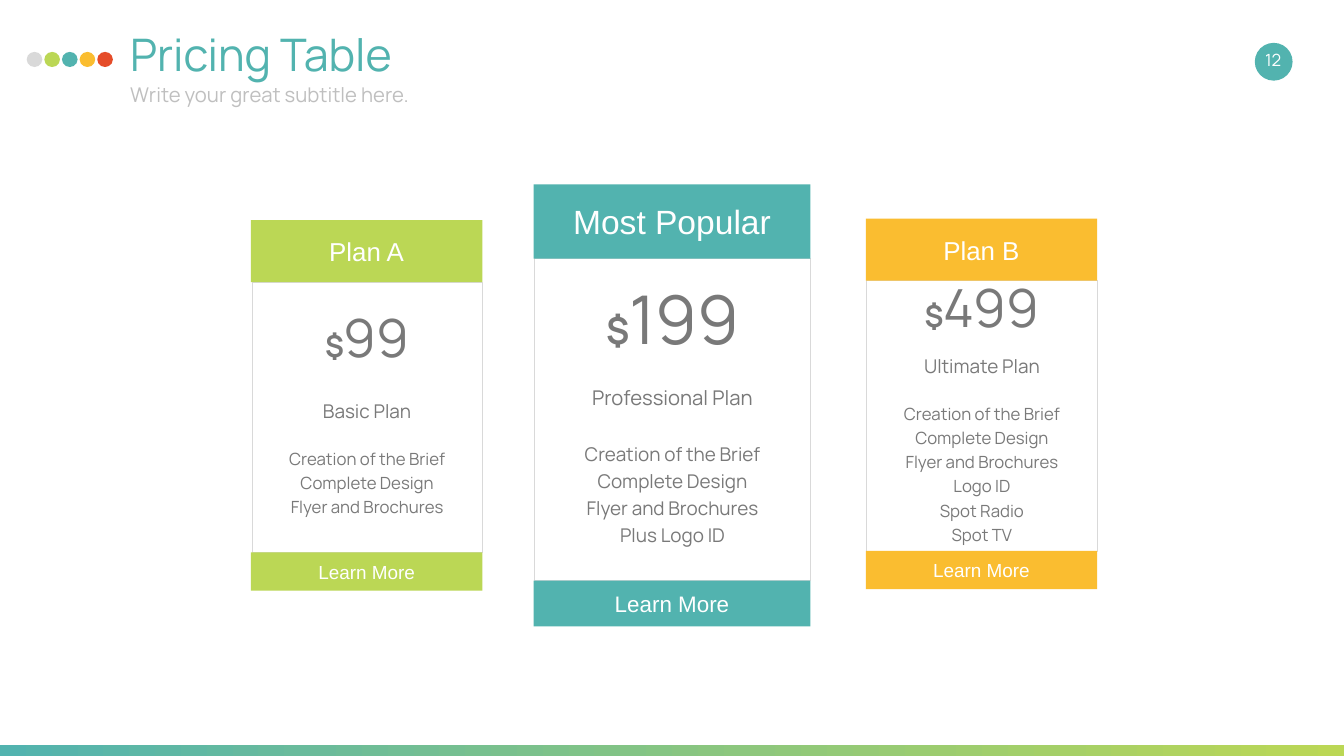
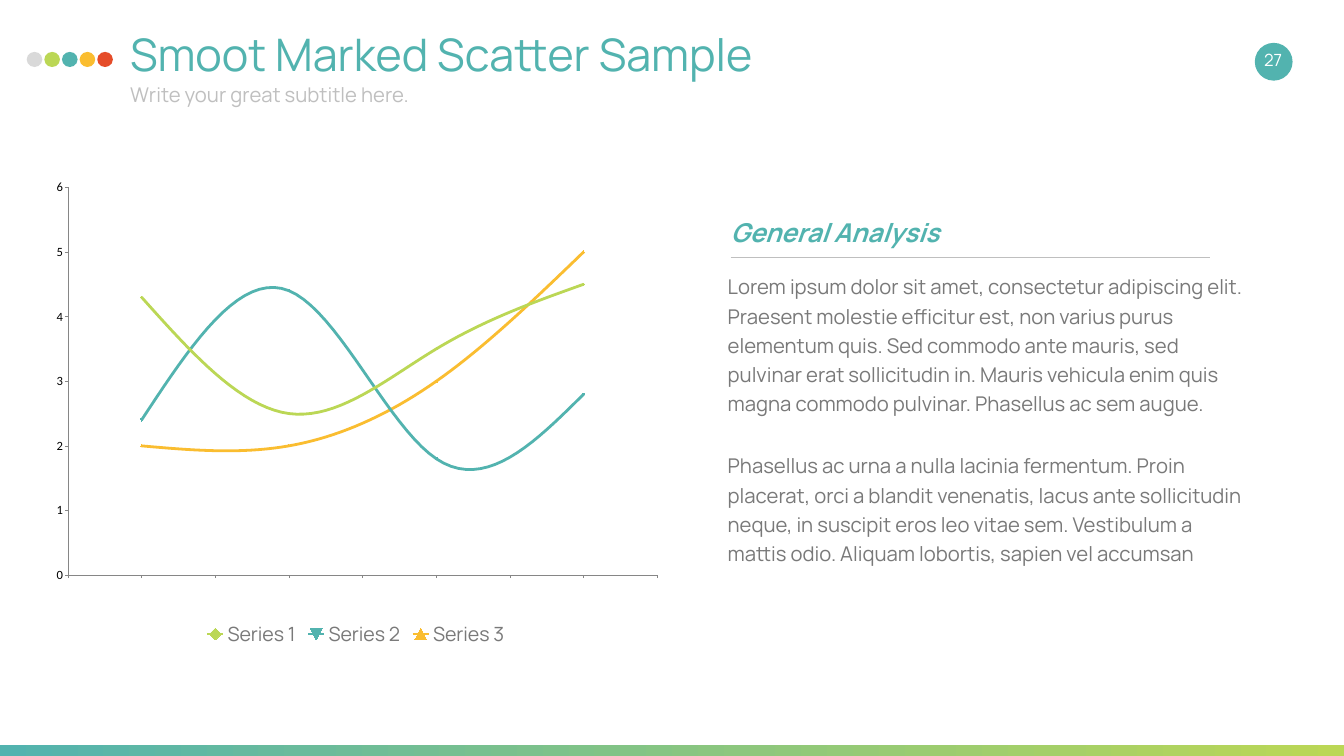
import pptx
import pptx.chart.data
import pptx.dml.color
import pptx.enum.chart
import pptx.enum.shapes
import pptx.enum.text
import pptx.oxml
import pptx.oxml.ns
import pptx.util

PX = 9144  # 100 px to the inch
TEAL, LIME, AMBER, RED = "52B3AF", "BBD755", "FABD30", "E54C29"
WHITE, PALE, SILVER, GREY, AXIS = "FFFFFF", "D9D9D9", "BFBFBF", "797979", "868686"
CENTER = pptx.enum.text.PP_ALIGN.CENTER
MIDDLE = pptx.enum.text.MSO_ANCHOR.MIDDLE
RECTANGLE = pptx.enum.shapes.MSO_SHAPE.RECTANGLE
OVAL = pptx.enum.shapes.MSO_SHAPE.OVAL
color = pptx.dml.color.RGBColor.from_string
pt = pptx.util.Pt


def add_block(page, kind, place, fill=None, line=None):
    """Add a preset shape, or a text box with wide margins when kind is None."""
    lengths = [length * PX for length in place]
    if kind is None:
        box = page.shapes.add_textbox(*lengths)
        margins = {"margin_left": 27, "margin_right": 27, "margin_top": 13, "margin_bottom": 13}
        for name, length in margins.items():
            setattr(box.text_frame, name, length * PX)
        return box
    box = page.shapes.add_shape(kind, *lengths)
    box.shadow.inherit = False
    if fill:
        box.fill.solid()
        box.fill.fore_color.rgb = color(fill)
    if line:
        box.line.color.rgb = color(line)
        box.line.width = pt(0.75)
    else:
        box.line.fill.background()
    return box


def write(box, paragraphs, ink, anchor=None, face="Manrope"):
    """Fill a box; each paragraph is (spans, layout) and each span (words, font values)."""
    frame = box.text_frame
    frame.word_wrap = True
    frame.vertical_anchor = anchor
    for index, (spans, layout) in enumerate(paragraphs):
        para = frame.add_paragraph() if index else frame.paragraphs[0]
        for name, value in layout.items():
            setattr(para, name, value)
        for words, values in spans:
            span = para.add_run()
            span.text = words
            span.font.color.rgb = color(ink)
            for name, value in ({"name": face} | values).items():
                setattr(span.font, name, value)


deck = pptx.Presentation()
deck.slide_width, deck.slide_height = 2667 * PX, 1500 * PX

# Shared frame: bottom band, number badge, dots and titles
pages = []
for title, number in [("Pricing Table", "12"), ("Smoot Marked Scatter Sample", "27")]:
    page = deck.slides.add_slide(deck.slide_layouts[6])
    pages.append(page)
    band = add_block(page, RECTANGLE, (0, 1479, 2667, 21))
    band.fill.gradient()
    band.fill.gradient_angle = 0
    for stop, shade in zip(band.fill.gradient_stops, [TEAL, LIME]):
        stop.color.rgb = color(shade)
    add_block(page, OVAL, (2490, 85, 75, 75), TEAL)
    for index, shade in enumerate([PALE, LIME, TEAL, AMBER, RED]):
        add_block(page, OVAL, (53 + 35 * index, 103, 31, 30), shade)
    write(add_block(page, None, (231, 41, 2125, 160)), [([(title, {"size": pt(64)})], {})], TEAL)
    subtitle = [([("Write your great subtitle here.", {"size": pt(29)})], {})]
    write(add_block(page, None, (231, 150, 2125, 85)), subtitle, SILVER)
    badge_text = [([(number, {"size": pt(24)})], {"alignment": CENTER})]
    write(add_block(page, None, (2468, 78, 117, 80)), badge_text, WHITE, MIDDLE)

pricing, analysis = pages

# Pricing cards
features = ["Creation of the Brief", "Complete Design", "Flyer and Brochures"]
popular = {"width": 549, "heights": (147, 639, 91), "button": 32,
           "head": 48, "sizes": (53, 96, 29, 27)}
regular = {"width": 459, "heights": (123, 536, 76), "button": 27,
           "head": 37, "sizes": (43, 75, 27, 24)}
cards = [
    (popular, 1059, 366, TEAL, "Most Popular", "199", "Professional Plan",
     features + ["Plus Logo ID"], (47, 40)),
    (regular, 498, 437, LIME, "Plan A", "99", "Basic Plan", features, (52, 32)),
    (regular, 1718, 434, AMBER, "Plan B", "499", "Ultimate Plan",
     features + ["Logo ID", "Spot Radio", "Spot TV"], (31, 32)),
]
for style, left, top, shade, heading, price, plan, offers, gaps in cards:
    width = style["width"]
    head_height, body_height, button_height = style["heights"]
    sign_size, price_size, plan_size, offer_size = [pt(size) for size in style["sizes"]]
    body_top = top + head_height
    body = add_block(pricing, RECTANGLE, (left + 2, body_top, width - 2, body_height), WHITE, PALE)
    tight = {"alignment": CENTER, "line_spacing": 0.8}
    loose = {"alignment": CENTER, "line_spacing": 1.2}
    lines = [
        ([("$", {"size": sign_size, "bold": True}), (price, {"size": price_size})], tight),
        ([(plan, {"size": plan_size})], tight | {"space_before": pt(gaps[0])}),
    ]
    for index, offer in enumerate(offers):
        layout = loose if index else loose | {"space_before": pt(gaps[1])}
        lines.append(([(offer, {"size": offer_size})], layout))
    write(body, lines, GREY, MIDDLE)
    bars = [(heading, top, head_height, style["head"]),
            ("Learn More", body_top + body_height, button_height, style["button"])]
    for words, bar_top, height, size in bars:
        bar = add_block(pricing, RECTANGLE, (left, bar_top, width, height), shade)
        label = [([(words, {"size": pt(size)})], {"alignment": CENTER})]
        write(bar, label, WHITE, MIDDLE, "Arial")

# Scatter chart
MARKER = pptx.enum.chart.XL_MARKER_STYLE
series_table = [
    ("Series 1", (4.3, 2.5, 3.5, 4.5), LIME, MARKER.DIAMOND),
    ("Series 2", (2.4, 4.4, 1.8, 2.8), TEAL, MARKER.AUTOMATIC),
    ("Series 3", (2, 2, 3, 5), AMBER, MARKER.TRIANGLE),
]
data = pptx.chart.data.XyChartData()
for name, values, shade, marker in series_table:
    points = data.add_series(name)
    for x, y in enumerate(values, start=1):
        points.add_data_point(x, y)
place = [length * PX for length in (89, 350, 1234, 942)]
chart = analysis.shapes.add_chart(
    pptx.enum.chart.XL_CHART_TYPE.XY_SCATTER_SMOOTH, *place, data).chart
chart.has_title = False
chart.font.name, chart.font.size = "Calibri", pt(18)
chart.font.color.rgb = color("000000")
chart.has_legend = True
chart.legend.position = pptx.enum.chart.XL_LEGEND_POSITION.BOTTOM
chart.legend.include_in_layout = False
chart.legend.font.name, chart.legend.font.size = "Manrope", pt(28)
chart.legend.font.color.rgb = color(GREY)

plot = chart.plots[0]
plot.vary_by_categories = False
for series, (name, values, shade, marker) in zip(plot.series, series_table):
    series.format.line.color.rgb = color(shade)
    series.format.line.width = pt(4)
    series.marker.style, series.marker.size = marker, 3
    series.marker.format.fill.solid()
    series.marker.format.fill.fore_color.rgb = color(shade)
    series.marker.format.line.color.rgb = color(shade)
    series._element.find(pptx.oxml.ns.qn("c:smooth")).set("val", "1")

scales = [(chart.category_axis, 0.5, 4.5, 0.5), (chart.value_axis, 0, 6, 1)]
for axis, low, high, step in scales:
    settings = {"minimum_scale": low, "maximum_scale": high, "major_unit": step,
                "has_major_gridlines": False,
                "major_tick_mark": pptx.enum.chart.XL_TICK_MARK.OUTSIDE}
    for name, value in settings.items():
        setattr(axis, name, value)
    axis.format.line.color.rgb = color(AXIS)
chart.category_axis.tick_label_position = pptx.enum.chart.XL_TICK_LABEL_POSITION.NONE

plot_area = chart._chartSpace.chart.plotArea
for old_layout in plot_area.findall(pptx.oxml.ns.qn("c:layout")):
    plot_area.remove(old_layout)
fractions = {"x": 0.037, "y": 0.023, "w": 0.948, "h": 0.817}
parts = '<c:layoutTarget val="inner"/><c:xMode val="edge"/><c:yMode val="edge"/>'
parts += "".join(f'<c:{name} val="{value}"/>' for name, value in fractions.items())
plot_area.insert(0, pptx.oxml.parse_xml(
    f'<c:layout {pptx.oxml.ns.nsdecls("c")}><c:manualLayout>{parts}</c:manualLayout></c:layout>'))

# Analysis text
passages = [
    ("Lorem ipsum dolor sit amet, consectetur adipiscing elit. Praesent molestie efficitur est, "
     "non varius purus elementum quis. Sed commodo ante mauris, sed pulvinar erat sollicitudin in. "
     "Mauris vehicula enim quis", 0),
    ("magna commodo pulvinar. Phasellus ac sem augue.", 0),
    ("Phasellus ac urna a nulla lacinia fermentum. Proin placerat, orci a blandit venenatis, "
     "lacus ante sollicitudin neque, in suscipit eros leo vitae sem. Vestibulum a mattis odio. "
     "Aliquam lobortis, sapien vel accumsan", 47),
]
paragraphs = [([(words, {"size": pt(29)})], {"line_spacing": 1.2, "space_before": pt(gap)})
              for words, gap in passages]
write(add_block(analysis, None, (1417, 522, 1091, 670)), paragraphs, GREY)
heading_font = {"size": pt(37), "bold": True, "italic": True}
heading = [([("General Analysis", heading_font)], {"line_spacing": 1.2})]
write(add_block(analysis, None, (1423, 405, 1082, 100)), heading, TEAL)
rule = analysis.shapes.add_connector(
    pptx.enum.shapes.MSO_CONNECTOR.STRAIGHT, 1450 * PX, 511 * PX, 2401 * PX, 511 * PX)
rule.line.color.rgb = color(SILVER)
rule.line.width = pt(0.25)
rule._element.spPr.append(
    pptx.oxml.parse_xml(f'<a:effectLst {pptx.oxml.ns.nsdecls("a")}/>'))

deck.save("out.pptx")
